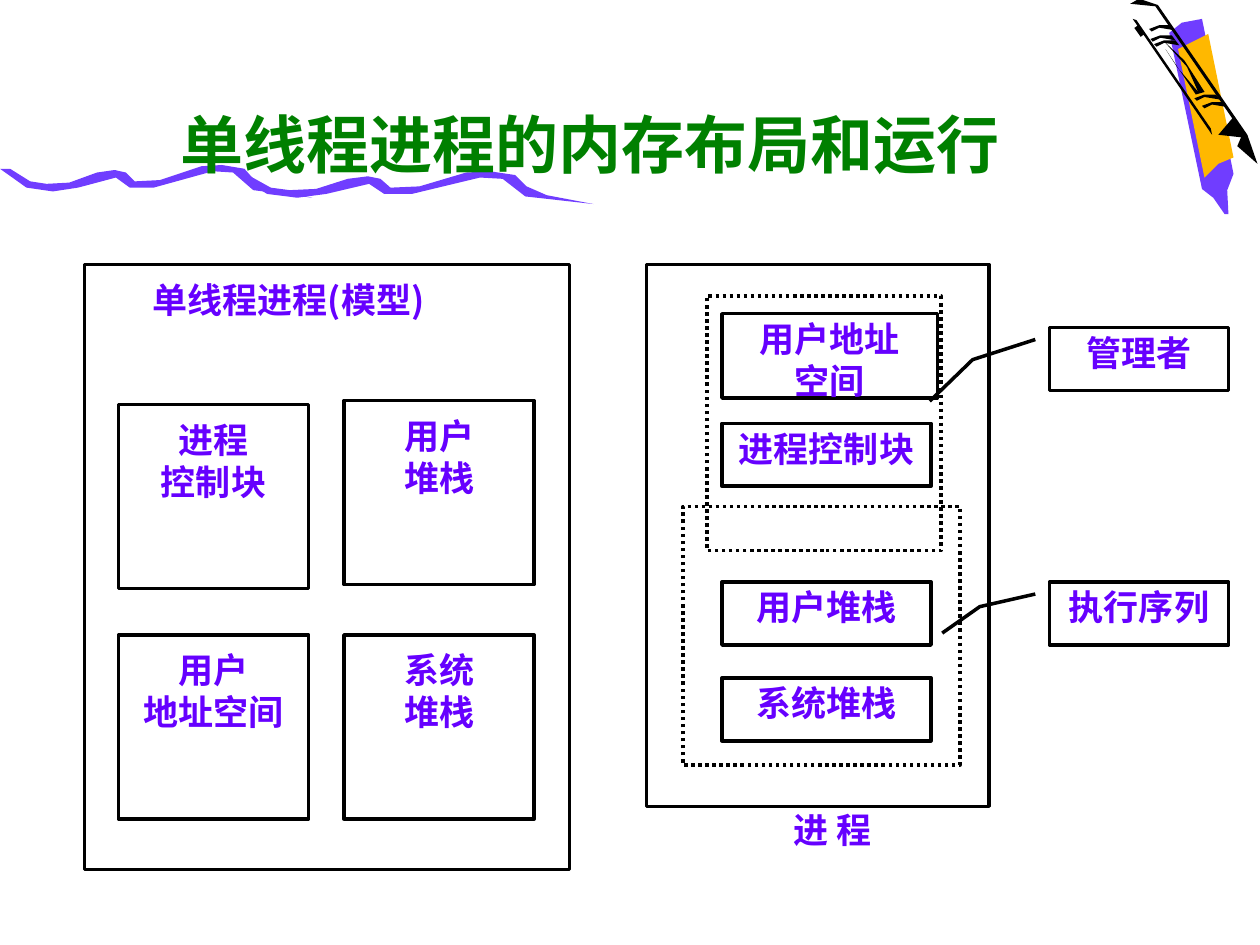
from lxml import etree
from pptx import Presentation
from pptx import util as u
from pptx.dml.color import RGBColor
from pptx.enum import dml, shapes, text
from pptx.oxml.ns import qn

Inches = u.Inches
PURPLE, ORANGE, BLACK, GREEN, VIOLET = "703DFF", "FFB800", "000000", "008000", "6600FF"
FONT = "Noto Sans CJK JP"
RECT = shapes.MSO_SHAPE.RECTANGLE
CALLOUT = shapes.MSO_SHAPE.LINE_CALLOUT_2


def color(hex_value):
    return RGBColor.from_string(hex_value)


def write(shape, content, size=20, hex_color=VIOLET, align=text.PP_ALIGN.CENTER,
          anchor=text.MSO_ANCHOR.TOP, insets=(0, 0.03, 0, 0), leading=24):
    """Fill a shape with one paragraph per line; insets are left, top, right, bottom."""
    frame = shape.text_frame
    frame.word_wrap = True
    frame.vertical_anchor = anchor
    (frame.margin_left, frame.margin_top,
     frame.margin_right, frame.margin_bottom) = map(Inches, insets)
    for index, line in enumerate(content.split("\n")):
        paragraph = frame.add_paragraph() if index else frame.paragraphs[0]
        paragraph.alignment = align
        paragraph.line_spacing = u.Pt(leading)
        run = paragraph.add_run()
        run.text = line
        run.font.size = u.Pt(size)
        run.font.bold = True
        run.font.color.rgb = color(hex_color)
        run.font.name = FONT
        latin = run.font._element.find(qn("a:latin"))
        latin.addnext(etree.Element(qn("a:ea"), typeface=FONT))


def add_box(kind, left, top, width, height, filled=True):
    shape = slide.shapes.add_shape(
        kind, Inches(left), Inches(top), Inches(width), Inches(height))
    shape.shadow.inherit = False
    if filled:
        shape.fill.solid()
        shape.fill.fore_color.rgb = color("FFFFFF")
    else:
        shape.fill.background()
    shape.line.color.rgb = color(BLACK)
    shape.line.width = u.Pt(2)
    return shape


presentation = Presentation()
presentation.slide_width = Inches(10)
presentation.slide_height = Inches(7.5)
slide = presentation.slides.add_slide(presentation.slide_layouts[6])

# Pencil and wavy underline; points are in hundredths of an inch
pencil_body = [(928, 26), (954, 150), (963, 157), (972, 170), (975, 170), (974, 151),
               (979, 138), (954, 15), (938, 18)]
pencil_band = [(956, 141), (967, 130), (979, 125), (959, 27), (935, 39)]
wave = [(8, 134), (24, 144), (37, 146), (55, 145), (77, 137), (91, 135), (100, 137),
        (107, 144), (127, 143), (160, 132), (176, 131), (194, 134), (202, 143),
        (216, 150), (248, 157), (201, 151), (185, 137), (169, 136), (122, 149),
        (103, 149), (92, 141), (62, 149), (42, 152), (21, 149), (0, 134)]
long_edge = [(978, 94), (917, 5), (897, 3), (904, -1), (919, 4), (990, 107), (998, 130),
             (982, 116), (985, 109), (967, 107)]
short_edge = [(899, 15), (962, 107), (961, 102), (902, 16)]
curl = [(925, 39), (949, 75), (956, 73), (940, 48), (924, 33), (942, 53), (951, 73),
        (934, 53)]
tick = [(0, 0), (6, -3), (18, -1), (15, -5), (6, -5), (-2, -2)]

outlines = [(PURPLE, pencil_body), (ORANGE, pencil_band)]
for start, stretch, drop in [(0, 1, 0), (188, 1.14, 5)]:
    outlines.append((PURPLE, [(round(start + stretch * x), y + drop) for x, y in wave]))
outlines += [(BLACK, stroke) for stroke in (long_edge, short_edge, curl)]
for left, top in [(956, 86), (950, 80), (918, 37), (915, 33), (914, 25)]:
    outlines.append((BLACK, [(left + x, top + y) for x, y in tick]))

for fill, points in outlines:
    builder = slide.shapes.build_freeform(*points[0], scale=Inches(0.01))
    builder.add_line_segments(points[1:], close=True)
    outline = builder.convert_to_shape()
    outline.shadow.inherit = False
    outline.fill.solid()
    outline.fill.fore_color.rgb = color(fill)
    outline.line.fill.background()

pencil_mark = slide.shapes.add_connector(
    shapes.MSO_CONNECTOR.STRAIGHT, Inches(9.02), Inches(0.21), Inches(9.07), Inches(0.28))
pencil_mark.line.color.rgb = color(BLACK)
pencil_mark.line.width = u.Pt(3)
etree.SubElement(pencil_mark._element.spPr, qn("a:effectLst"))

title = slide.shapes.add_textbox(Inches(0.75), Inches(0.52), Inches(7.51), Inches(0.92))
write(title, "单线程进程的内存布局和运行", size=36, hex_color=GREEN,
      anchor=text.MSO_ANCHOR.BOTTOM, insets=(0.45, 0.05, 0.1, 0), leading=44)

# Process on the right
add_box(RECT, 5.13, 2.1, 2.72, 4.3, filled=False)
process_label = slide.shapes.add_textbox(
    Inches(5.42), Inches(6.39), Inches(2.37), Inches(0.5))
write(process_label, "进 程", insets=(0.1, 0.03, 0.1, 0))

for label, top, width, height in [
    ("用户地址\n空间", 2.49, 1.71, 0.67),
    ("进程控制块", 3.36, 1.66, 0.5),
    ("用户堆栈", 4.62, 1.66, 0.5),
    ("系统堆栈", 5.38, 1.66, 0.5),
]:
    write(add_box(RECT, 5.73, top, width, height), label)

for label, top, leader in [
    ("管理者", 2.6, (0.19, -0.08, 0.51, -0.43, 1.17, -0.67)),
    ("执行序列", 4.62, (0.19, -0.08, 0.39, -0.39, 0.81, -0.6)),
]:
    callout = add_box(CALLOUT, 8.33, top, 1.42, 0.5)
    for index, value in enumerate(leader):
        callout.adjustments[index] = value
    write(callout, label, insets=(0.1, 0.03, 0.1, 0))

for bounds in [(5.61, 2.35, 1.86, 2.02), (5.42, 4.02, 2.2, 2.05)]:
    role_frame = add_box(RECT, *bounds, filled=False)
    role_frame.line.dash_style = dml.MSO_LINE.ROUND_DOT

# Single-threaded process model on the left
model = add_box(RECT, 0.67, 2.1, 3.85, 4.8)
write(model, "单线程进程(模型)", align=text.PP_ALIGN.JUSTIFY, insets=(0.54, 0.11, 0.1, 0.05))

for label, left, top in [
    ("用户\n地址空间", 0.94, 5.04),
    ("进程\n控制块", 0.94, 3.21),
    ("用户\n堆栈", 2.73, 3.18),
    ("系统\n堆栈", 2.73, 5.04),
]:
    write(add_box(RECT, left, top, 1.51, 1.46), label, insets=(0, 0.11, 0, 0))

presentation.save("out.pptx")
